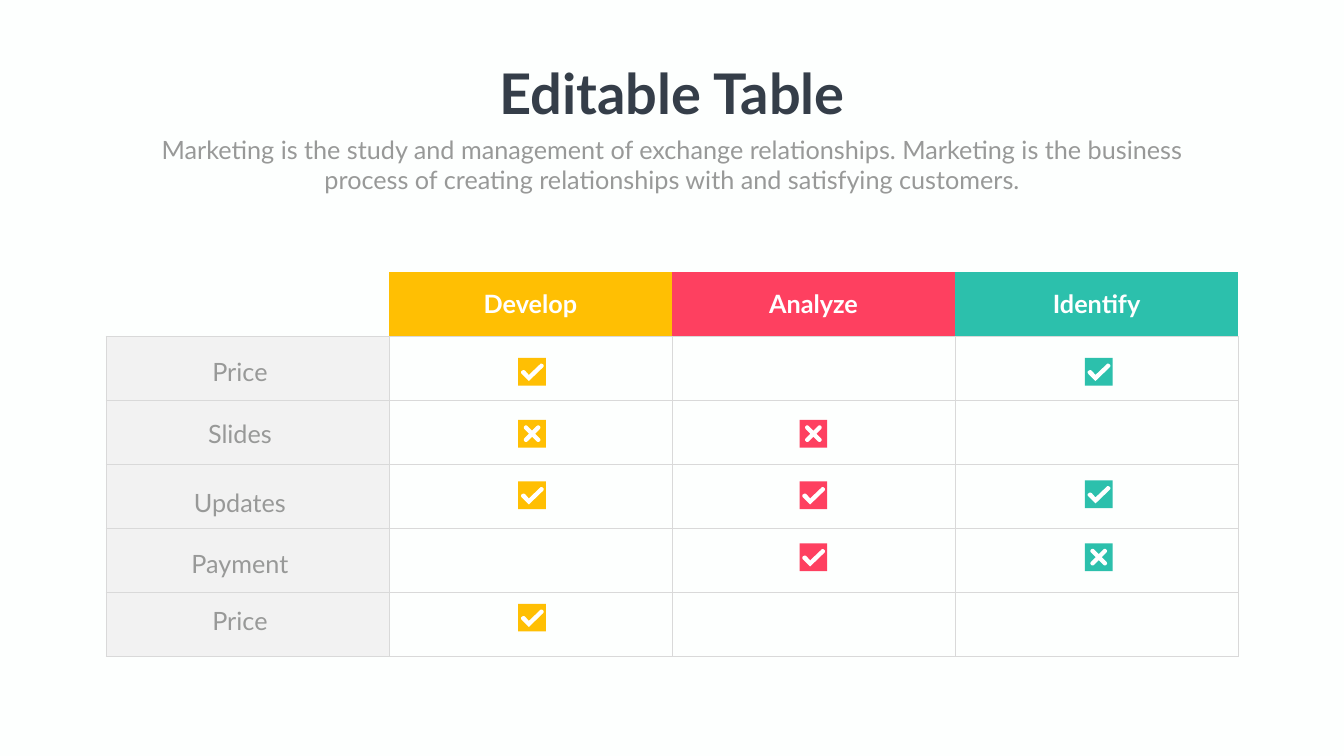
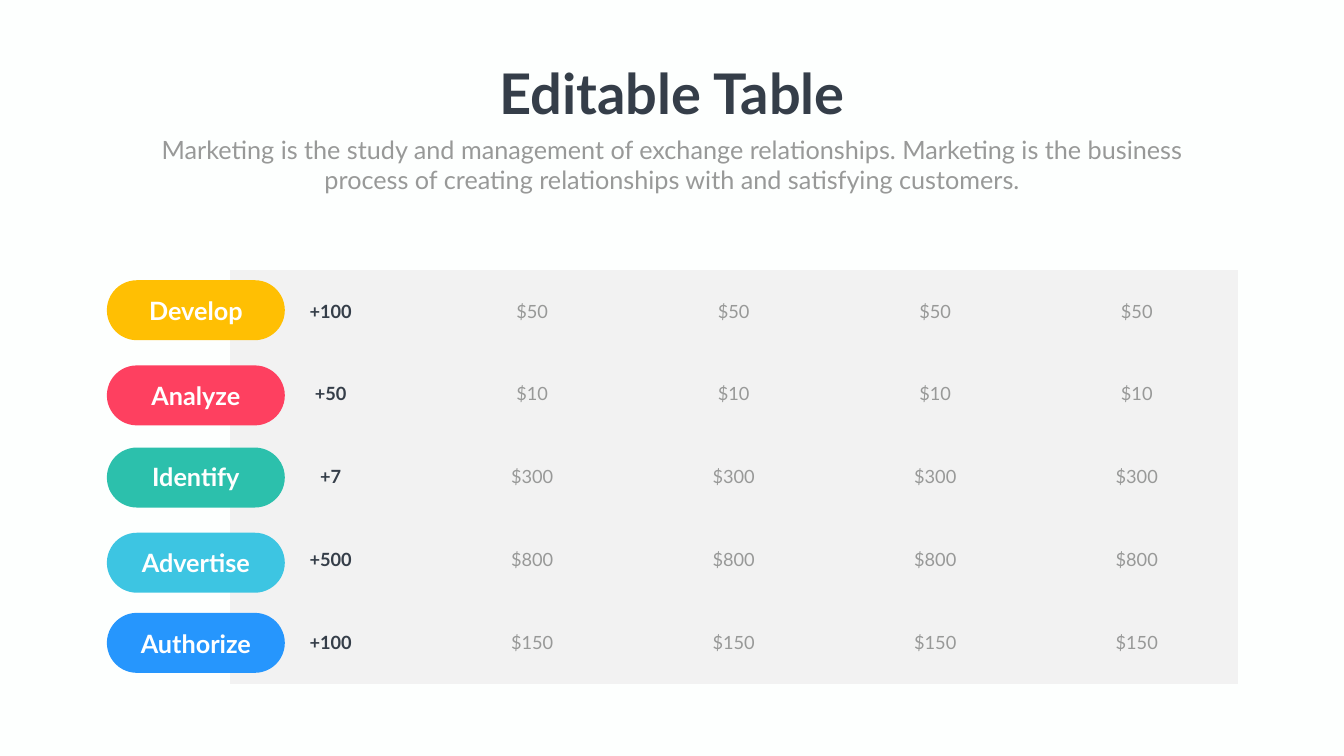
from pptx import Presentation
from pptx.dml.color import RGBColor
from pptx.enum.shapes import MSO_SHAPE as SHAPE
from pptx.enum.text import MSO_ANCHOR as ANCHOR, MSO_AUTO_SIZE as FIT, PP_ALIGN as ALIGN
from pptx.oxml.ns import qn
from pptx.util import Inches, Pt
from lxml.etree import SubElement

FONT = "Lato"
COLORS = {
    "back": "FDFFFE", "dark": "353E49", "gray": "989998", "panel": "F2F2F2",
    "line": "D9D9D9", "white": "FFFFFF", "yellow": "FFBF03", "red": "FE4060",
    "teal": "2CC0AC", "cyan": "3DC5E2", "blue": "2696FD",
}
TITLE = "Editable Table"
SUBTITLE = ("Marketing is the study and management of exchange relationships. "
            "Marketing is the business process of creating relationships with "
            "and satisfying customers.")
TILE = 0.55
CHECK = [
    (0.21, 0.46), (0.07, 0.32), (0.05, 0.30, 0.05, 0.27, 0.07, 0.26),
    (0.09, 0.24, 0.12, 0.24, 0.14, 0.26), (0.21, 0.34), (0.43, 0.13),
    (0.44, 0.11, 0.47, 0.11, 0.49, 0.13), (0.51, 0.14, 0.51, 0.17, 0.49, 0.19),
]
CROSS_ARM = [
    (0.06, 0), (0.15, -0.09), (0.17, -0.11, 0.17, -0.14, 0.15, -0.15),
    (0.14, -0.17, 0.11, -0.17, 0.09, -0.15),
]


def flatten(outline, steps=6):
    points = []
    for values in outline:
        if len(values) == 2:
            points.append(values)
            continue
        x0, y0 = points[-1]
        x1, y1, x2, y2, x3, y3 = values
        for i in range(1, steps + 1):
            t = i / steps
            a, b, c, d = (1 - t) ** 3, 3 * t * (1 - t) ** 2, 3 * t * t * (1 - t), t ** 3
            points.append((a * x0 + b * x1 + c * x2 + d * x3,
                           a * y0 + b * y1 + c * y2 + d * y3))
    return points


def cross_points():
    points, arm = [], flatten(CROSS_ARM)
    for _ in range(4):
        points += [(x + TILE / 2, y + TILE / 2) for x, y in arm]
        arm = [(y, -x) for x, y in arm]
    return points


MARKS = {"check": flatten(CHECK), "cross": cross_points()}


class Deck:
    def __init__(self):
        self.prs = Presentation()
        self.prs.slide_width, self.prs.slide_height = Inches(26.66), Inches(15)
        self.fill(self.prs.slide_master.background, "back")
        self.s = None

    def fill(self, target, color):
        target.fill.solid()
        target.fill.fore_color.rgb = RGBColor.from_string(COLORS[color])

    def put_text(self, tf, text, size, color, bold=False):
        p = tf.paragraphs[0]
        p.text = text
        p.alignment = ALIGN.CENTER
        p.font.name, p.font.size, p.font.bold = FONT, Pt(size), bold
        p.font.color.rgb = RGBColor.from_string(COLORS[color])

    def slide(self):
        self.s = self.prs.slides.add_slide(self.prs.slide_layouts[5])
        sp = self.s.shapes.title
        sp.left, sp.top, sp.width, sp.height = map(Inches, (9.65, 1.12, 7.37, 1.45))
        tf = sp.text_frame
        tf.word_wrap, tf.auto_size = False, FIT.SHAPE_TO_FIT_TEXT
        tf.vertical_anchor = ANCHOR.TOP
        self.put_text(tf, TITLE, 80, "dark", True)
        self.text(2.92, 2.61, 20.82, 1.31, SUBTITLE, "gray")

    def text(self, x, y, w, h, text, color, bold=False):
        tf = self.s.shapes.add_textbox(*map(Inches, (x, y, w, h))).text_frame
        tf.word_wrap, tf.auto_size = True, FIT.SHAPE_TO_FIT_TEXT
        self.put_text(tf, text, 36, color, bold)

    def shape(self, kind, x, y, w, h, color):
        sp = self.s.shapes.add_shape(kind, *map(Inches, (x, y, w, h)))
        self.finish(sp, color)
        return sp

    def finish(self, sp, color):
        sp.shadow.inherit = False
        sp.line.fill.background()
        self.fill(sp, color)

    def mark(self, kind, x, y, color):
        self.shape(SHAPE.RECTANGLE, x, y, TILE, TILE, color)
        points = [(Inches(x + dx), Inches(y + dy)) for dx, dy in MARKS[kind]]
        builder = self.s.shapes.build_freeform(*points[0], scale=1.0)
        builder.add_line_segments(points[1:], close=True)
        self.finish(builder.convert_to_shape(), "white")

    def table(self, rows, cols, x, y, w, h):
        frame = self.s.shapes.add_table(rows, cols, *map(Inches, (x, y, w, h)))
        frame.table.first_row = frame.table.horz_banding = False
        return frame.table

    def cell(self, cell, color=None, borders=""):
        tcPr = cell._tc.get_or_add_tcPr()
        for side in "LRTB":
            ln = SubElement(tcPr, qn(f"a:ln{side}"), w=str(Pt(1)))
            if side in borders:
                solid = SubElement(ln, qn("a:solidFill"))
                SubElement(solid, qn("a:srgbClr"), val=COLORS["line"])
            else:
                SubElement(ln, qn("a:noFill"))
        if color:
            self.fill(cell, color)
        else:
            cell.fill.background()
        cell.vertical_anchor = ANCHOR.MIDDLE


def feature_slide(deck):
    deck.slide()
    headers = [("Develop", "yellow"), ("Analyze", "red"), ("Identify", "teal")]
    table = deck.table(6, 4, 2.1, 5.4, 22.46, 7.63)
    deck.cell(table.cell(0, 0), borders="B")
    for col, (name, color) in enumerate(headers, 1):
        cell = table.cell(0, col)
        deck.cell(cell, color, "B")
        deck.put_text(cell.text_frame, name, 36, "white", True)
    for row in range(1, 6):
        for col in range(4):
            deck.cell(table.cell(row, col), None if col else "panel", "LRTB")

    labels = [("Price", 7.02), ("Slides", 8.25), ("Updates", 9.61),
              ("Payment", 10.83), ("Price", 11.96)]
    for label, y in labels:
        deck.text(2.68, y, 4.16, 0.71, label, "gray")

    columns = [
        ("yellow", 10.28, {7.1: "check", 8.33: "cross", 9.55: "check", 11.98: "check"}),
        ("red", 15.86, {8.33: "cross", 9.55: "check", 10.78: "check"}),
        ("teal", 21.52, {7.1: "check", 9.53: "check", 10.78: "cross"}),
    ]
    for color, x, marks in columns:
        for y, kind in marks.items():
            deck.mark(kind, x, y, color)


def price_slide(deck):
    deck.slide()
    prices = [("+100", "$50"), ("+50", "$10"), ("+7", "$300"),
              ("+500", "$800"), ("+100", "$150")]
    table = deck.table(5, 5, 4.56, 5.35, 19.99, 8.22)
    for row, (amount, price) in enumerate(prices):
        for col in range(5):
            cell = table.cell(row, col)
            first = col == 0
            deck.cell(cell, "panel")
            cell.margin_left = cell.margin_right = Inches(0.13 if first else 0.09)
            cell.margin_top = cell.margin_bottom = Inches(0.06 if first else 0.05)
            deck.put_text(cell.text_frame, amount if first else price, 26,
                          "dark" if first else "gray", first)

    pills = [("Develop", "yellow", 5.56, 5.8), ("Analyze", "red", 7.25, 7.5),
             ("Identify", "teal", 8.88, 9.11), ("Advertise", "cyan", 10.57, 10.8),
             ("Authorize", "blue", 12.16, 12.42)]
    for name, color, top, text_top in pills:
        pill = deck.shape(SHAPE.ROUNDED_RECTANGLE, 2.12, top, 3.53, 1.19, color)
        pill.adjustments[0] = 0.5
        deck.text(2.26, text_top, 3.25, 0.71, name, "white", True)


def main():
    deck = Deck()
    feature_slide(deck)
    price_slide(deck)
    deck.prs.save("out.pptx")


if __name__ == "__main__":
    main()
